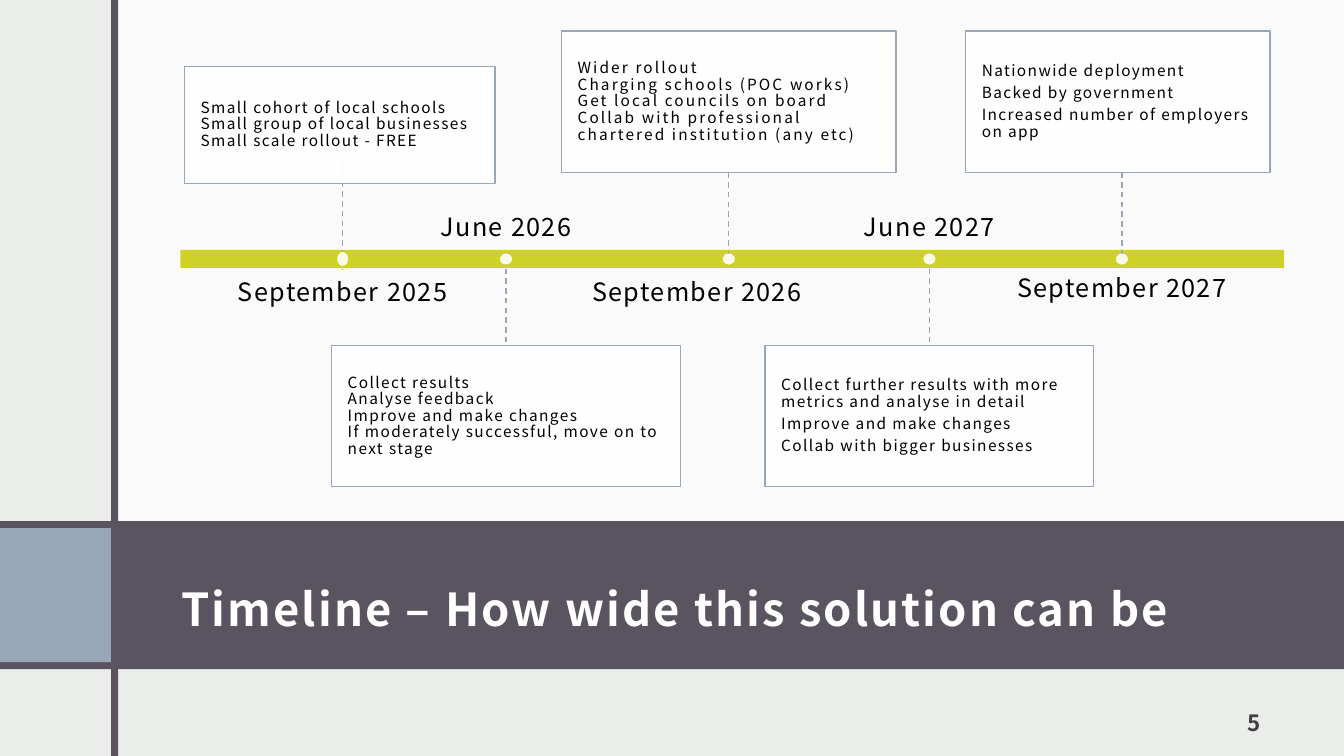
"""Build the rollout timeline slide on a grid of 40 columns and 30 rows."""
import lxml.etree
import pptx
import pptx.dml.color
import pptx.enum.dml
import pptx.enum.shapes
import pptx.enum.text
import pptx.oxml.ns
import pptx.util

FONT = "Noto Sans CJK JP"
COLORS = {
    "page": "EBEDEB",
    "white": "FFFFFF",
    "plum": "595460",
    "steel": "97A7B8",
    "lime": "CED228",
    "black": "000000",
    "number": "404040",
}
Align = pptx.enum.text.PP_ALIGN
Anchor = pptx.enum.text.MSO_ANCHOR
Shapes = pptx.enum.shapes.MSO_SHAPE
qualified = pptx.oxml.ns.qn

presentation = pptx.Presentation()
presentation.slide_width = pptx.util.Inches(13.33)
presentation.slide_height = pptx.util.Inches(7.5)
column = presentation.slide_width / 40
row = presentation.slide_height / 30
slide = presentation.slides.add_slide(presentation.slide_layouts[6])
slide.background.fill.solid()
slide.background.fill.fore_color.rgb = pptx.dml.color.RGBColor.from_string(COLORS["page"])


def add_block(left, top, width, height, color, opacity=100, kind=Shapes.RECTANGLE, outline=None):
    shape = slide.shapes.add_shape(
        kind, round(left * column), round(top * row), round(width * column), round(height * row))
    shape.shadow.inherit = False
    shape.fill.solid()
    shape.fill.fore_color.rgb = pptx.dml.color.RGBColor.from_string(COLORS[color])
    if opacity < 100:
        fill_color = shape.fill._xPr.find(".//" + qualified("a:srgbClr"))
        alpha = lxml.etree.SubElement(fill_color, qualified("a:alpha"))
        alpha.set("val", str(opacity * 1000))
    if outline:
        shape.line.color.rgb = pptx.dml.color.RGBColor.from_string(COLORS[outline])
        shape.line.width = pptx.util.Pt(1)
    else:
        shape.line.fill.background()
    return shape


def write_text(shape, lines, size, color="black", bold=False, tracking=1, anchor=Anchor.MIDDLE,
               align=Align.LEFT, spacing=1, after=0, insets=(0, 0, 0, 0)):
    frame = shape.text_frame
    frame.word_wrap = True
    frame.vertical_anchor = anchor
    frame.margin_left, frame.margin_top, frame.margin_right, frame.margin_bottom = (
        pptx.util.Inches(inset) for inset in insets)
    for index, line in enumerate(lines):
        paragraph = frame.add_paragraph() if index else frame.paragraphs[0]
        paragraph.alignment = align
        paragraph.line_spacing = spacing
        paragraph.space_before = pptx.util.Pt(0)
        paragraph.space_after = pptx.util.Pt(after)
        run = paragraph.add_run()
        run.text = line
        run.font.name = FONT
        run.font.size = pptx.util.Pt(size)
        run.font.bold = bold
        run.font.color.rgb = pptx.dml.color.RGBColor.from_string(COLORS[color])
        properties = run._r.get_or_add_rPr()
        properties.set("spc", str(round(tracking * 100)))
        east_asian = lxml.etree.SubElement(properties, qualified("a:ea"))
        east_asian.set("typeface", FONT)


add_block(3.42, 0, 36.58, 20.68, "white", 75)
add_block(0, 20.68, 40, 5.88, "plum")
add_block(0, 20.96, 3.3, 5.32, "steel")
add_block(3.31, 0, 0.21, 30, "plum")

title = slide.shapes.add_textbox(
    round(5.04 * column), round(21.32 * row), round(32.85 * column), round(4.52 * row))
write_text(title, ["Timeline – How wide this solution can be"], 32.4, "white", True, 1.5,
           spacing=1.5, insets=(0.12, 0.12, 0.12, 0.1))
page_number = slide.shapes.add_textbox(
    round(34.68 * column), round(27.6 * row), round(3.21 * column), round(2 * row))
write_text(page_number, ["5"], 16, "number", True, 1.5, Anchor.BOTTOM, Align.RIGHT,
           insets=(0.12, 0.12, 0.12, 0.1))

add_block(5.37, 9.92, 32.85, 0.72, "lime")
axis_middle = 10.28

milestones = [
    {"date": "September 2025", "center": 10.2, "card": (5.49, 2.64, 9.24, 4.64),
     "stem": (6.44, 10.72), "dot": (0.33, 0.56), "inset": 0.06,
     "lines": ["Small cohort of local schools", "Small group of local businesses",
               "Small scale rollout - FREE"]},
    {"date": "June 2026", "center": 15.06, "card": (9.87, 13.72, 10.38, 5.6),
     "stem": (axis_middle, 13.72),
     "lines": ["Collect results", "Analyse feedback", "Improve and make changes",
               "If moderately successful, move on to next stage"]},
    {"date": "September 2026", "center": 21.69, "card": (16.71, 1.24, 9.96, 5.6),
     "stem": (6.84, axis_middle), "date_shift": -0.95, "tracking": 1.5,
     "lines": ["Wider rollout", "Charging schools (POC works)", "Get local councils on board",
               "Collab with professional chartered institution (any etc)"]},
    {"date": "June 2027", "center": 27.66, "card": (22.77, 13.72, 9.78, 5.6),
     "stem": (axis_middle, 13.72), "after": 3.85, "date_spacing": 0.9,
     "lines": ["Collect further results with more metrics and analyse in detail",
               "Improve and make changes", "Collab with bigger businesses"]},
    {"date": "September 2027", "center": 33.39, "card": (28.74, 1.24, 9.06, 5.6),
     "stem": (6.84, axis_middle), "after": 3.85, "date_spacing": 0.9,
     "lines": ["Nationwide deployment", "Backed by government",
               "Increased number of employers on app"]},
]

for milestone in milestones:
    center = milestone["center"]
    stem_top, stem_bottom = milestone["stem"]
    stem = slide.shapes.add_connector(
        pptx.enum.shapes.MSO_CONNECTOR.STRAIGHT, round(center * column), round(stem_top * row),
        round(center * column), round(stem_bottom * row))
    stem.line.color.rgb = pptx.dml.color.RGBColor.from_string(COLORS["steel"])
    stem.line.width = pptx.util.Pt(1)
    stem.line.dash_style = pptx.enum.dml.MSO_LINE.DASH
    lxml.etree.SubElement(stem._element.spPr, qualified("a:effectLst"))

    card = add_block(*milestone["card"], "white", 90, outline="steel")
    inset = milestone.get("inset", 0.08)
    write_text(card, milestone["lines"], 11, tracking=milestone.get("tracking", 1), spacing=0.9,
               after=milestone.get("after", 0), insets=(0.16, inset, 0.16, inset))

    card_above = milestone["card"][1] < axis_middle
    date_left = center + milestone.get("date_shift", 0) - 8.73 / 2
    date_top = 10.96 if card_above else 7.56
    date = slide.shapes.add_textbox(
        round(date_left * column), round(date_top * row), round(8.73 * column), round(2.04 * row))
    write_text(date, [milestone["date"]], 18, align=Align.CENTER,
               anchor=Anchor.TOP if card_above else Anchor.BOTTOM,
               spacing=milestone.get("date_spacing", 1))

    dot_width, dot_height = milestone.get("dot", (0.36, 0.44))
    add_block(center - dot_width / 2, axis_middle - dot_height / 2, dot_width, dot_height,
              "white", 90, Shapes.OVAL)

presentation.save("out.pptx")
